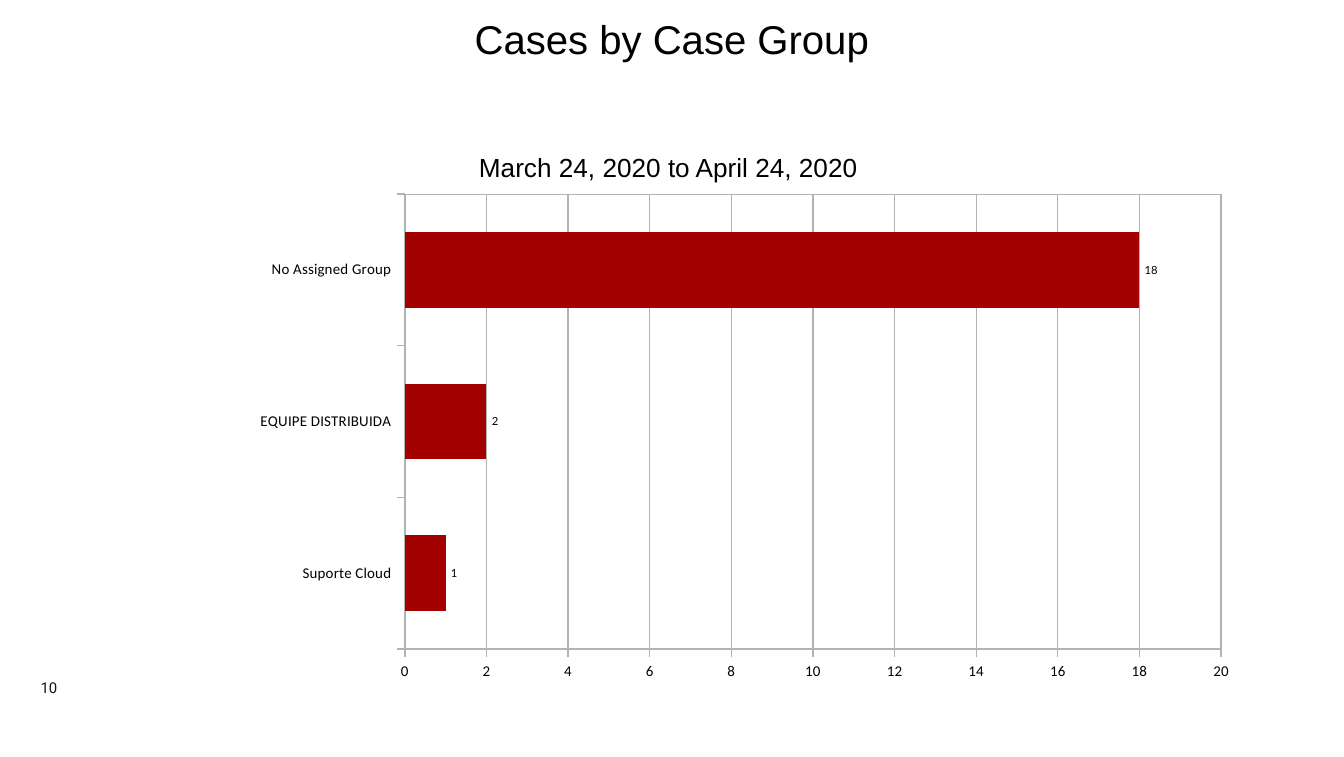
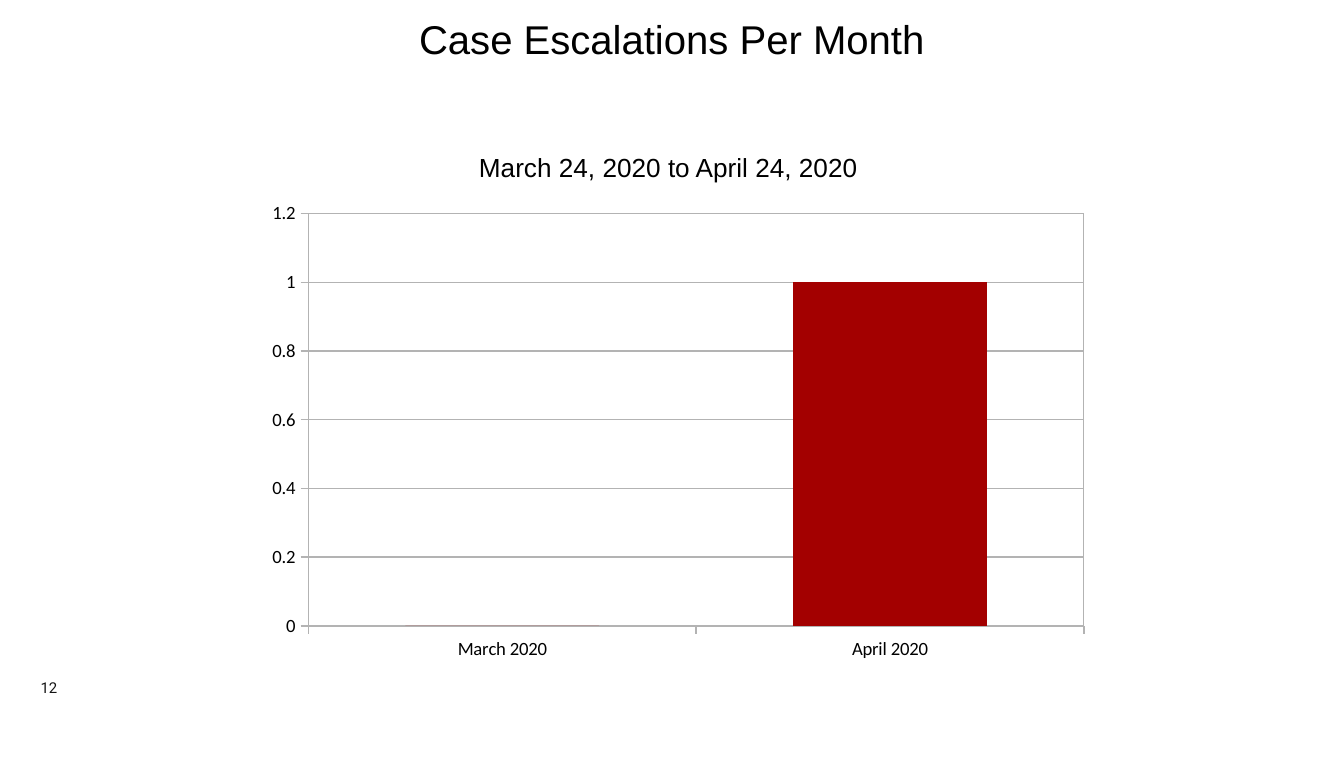
from dataclasses import dataclass

import lxml.etree
import pptx
import pptx.chart.data
import pptx.dml.color
import pptx.enum.chart
import pptx.enum.text
import pptx.oxml
import pptx.oxml.ns
import pptx.util

Inches = pptx.util.Inches
Pt = pptx.util.Pt
Anchor = pptx.enum.text.MSO_ANCHOR
ChartType = pptx.enum.chart.XL_CHART_TYPE


@dataclass(frozen=True)
class Theme:
    text: str = "000000"
    page_number: str = "141414"
    bar: str = "A30000"
    rule: str = "B3B3B3"
    heading_font: str = "Arial"
    axis_font: str = "Calibri"
    label_font: str = "Lato"
    number_font: str = "Roboto"
    title_size: float = 21.5
    period_size: float = 14
    chart_size: float = 10
    small_size: float = 8
    label_size: float = 6


THEME = Theme()
PERIOD = "March 24, 2020 to April 24, 2020 "


def rgb(color):
    return pptx.dml.color.RGBColor.from_string(color)


def style_font(font, name, size, color=THEME.text):
    font.name = name
    font.size = Pt(size)
    font.color.rgb = rgb(color)


def place(shape, left, top, width, height):
    shape.left, shape.top = Inches(left), Inches(top)
    shape.width, shape.height = Inches(width), Inches(height)


def fill_text(shape, text, name, size, color=THEME.text, anchor=Anchor.TOP):
    """Write one centred line without margins."""
    frame = shape.text_frame
    frame.text = text
    frame.word_wrap = True
    frame.vertical_anchor = anchor
    frame.margin_left = frame.margin_right = 0
    frame.margin_top = frame.margin_bottom = 0
    para = frame.paragraphs[0]
    para.alignment = pptx.enum.text.PP_ALIGN.CENTER
    style_font(para.runs[0].font, name, size, color)


def add_text(slide, area, *args, **options):
    box = slide.shapes.add_textbox(*map(Inches, area))
    fill_text(box, *args, **options)


def add_report_slide(deck, title, page):
    slide = deck.slides.add_slide(deck.slide_layouts[5])
    heading = slide.shapes.title
    place(heading, 0.75, 0.11, 8.5, 0.36)
    fill_text(heading, title, THEME.heading_font, THEME.title_size)
    heading.text_frame.auto_size = pptx.enum.text.MSO_AUTO_SIZE.SHAPE_TO_FIT_TEXT
    add_text(slide, (0.75, 0.96, 8.5, 0.57), PERIOD, THEME.heading_font,
             THEME.period_size, anchor=Anchor.MIDDLE)
    add_text(slide, (0.03, 5.03, 0.67, 0.15), page, THEME.number_font,
             THEME.small_size, THEME.page_number, Anchor.BOTTOM)
    return slide


def style_line(line):
    line.color.rgb = rgb(THEME.rule)
    line.width = Pt(0)


def style_axis(axis, size):
    axis.major_tick_mark = pptx.enum.chart.XL_TICK_MARK.OUTSIDE
    axis.minor_tick_mark = pptx.enum.chart.XL_TICK_MARK.NONE
    style_font(axis.tick_labels.font, THEME.axis_font, size)
    style_line(axis.format.line)


def frame_plot(chart):
    """Outline the plot area, which has no public formatting method."""
    chart.element.chart.plotArea.append(pptx.oxml.parse_xml(
        f'<c:spPr {pptx.oxml.ns.nsdecls("c", "a")}><a:noFill/><a:ln w="0">'
        f'<a:solidFill><a:srgbClr val="{THEME.rule}"/></a:solidFill>'
        '</a:ln></c:spPr>'))


def set_plot_layout(chart, x, y, w, h):
    """Place the plot area, axis labels included, as fractions of the chart."""
    plot_area = chart.element.chart.plotArea
    tag = pptx.oxml.ns.qn
    for old in plot_area.findall(tag("c:layout")):
        plot_area.remove(old)
    layout = lxml.etree.Element(tag("c:layout"))
    manual = lxml.etree.SubElement(layout, tag("c:manualLayout"))
    settings = dict(layoutTarget="outer", xMode="edge", yMode="edge",
                    x=x, y=y, w=w, h=h)
    for name, value in settings.items():
        lxml.etree.SubElement(manual, tag(f"c:{name}"), val=str(value))
    plot_area.insert(0, layout)


def add_case_chart(slide, kind, area, counts, axis_size, maximum, step):
    data = pptx.chart.data.CategoryChartData()
    data.categories = list(counts)
    data.add_series("Series 1", list(counts.values()))
    chart = slide.shapes.add_chart(kind, *map(Inches, area), data).chart
    chart.has_legend = False
    chart.has_title = False
    style_font(chart.font, THEME.heading_font, THEME.chart_size)

    plot = chart.plots[0]
    plot.gap_width = 100
    plot.vary_by_categories = False
    fill = plot.series[0].format.fill
    fill.solid()
    fill.fore_color.rgb = rgb(THEME.bar)

    for axis in (chart.category_axis, chart.value_axis):
        style_axis(axis, axis_size)
    values = chart.value_axis
    values.minimum_scale, values.maximum_scale = 0, maximum
    values.major_unit = step
    values.has_major_gridlines = True
    style_line(values.major_gridlines.format.line)
    frame_plot(chart)
    return chart


def show_values(chart):
    labels = chart.plots[0].series[0].data_labels
    labels.show_value = True
    labels.position = pptx.enum.chart.XL_LABEL_POSITION.OUTSIDE_END
    style_font(labels.font, THEME.label_font, THEME.label_size)


def main():
    deck = pptx.Presentation()
    deck.slide_width, deck.slide_height = Inches(10), Inches(5.63)

    slide = add_report_slide(deck, "Cases by Case Group", "10")
    groups = {"Suporte Cloud": 1, "EQUIPE DISTRIBUIDA": 2, "No Assigned Group": 18}
    chart = add_case_chart(slide, ChartType.BAR_CLUSTERED, (0.75, 1.37, 8.48, 3.73),
                           groups, THEME.small_size, maximum=20, step=2)
    set_plot_layout(chart, 0.14, 0.02, 0.85, 0.97)
    show_values(chart)

    slide = add_report_slide(deck, "Case Escalations Per Month", "12")
    months = {"March 2020": 0, "April 2020": 1}
    add_case_chart(slide, ChartType.COLUMN_CLUSTERED, (1.9, 1.44, 6.29, 3.54),
                   months, THEME.chart_size, maximum=1.2, step=0.2)

    deck.save("out.pptx")


if __name__ == "__main__":
    main()
